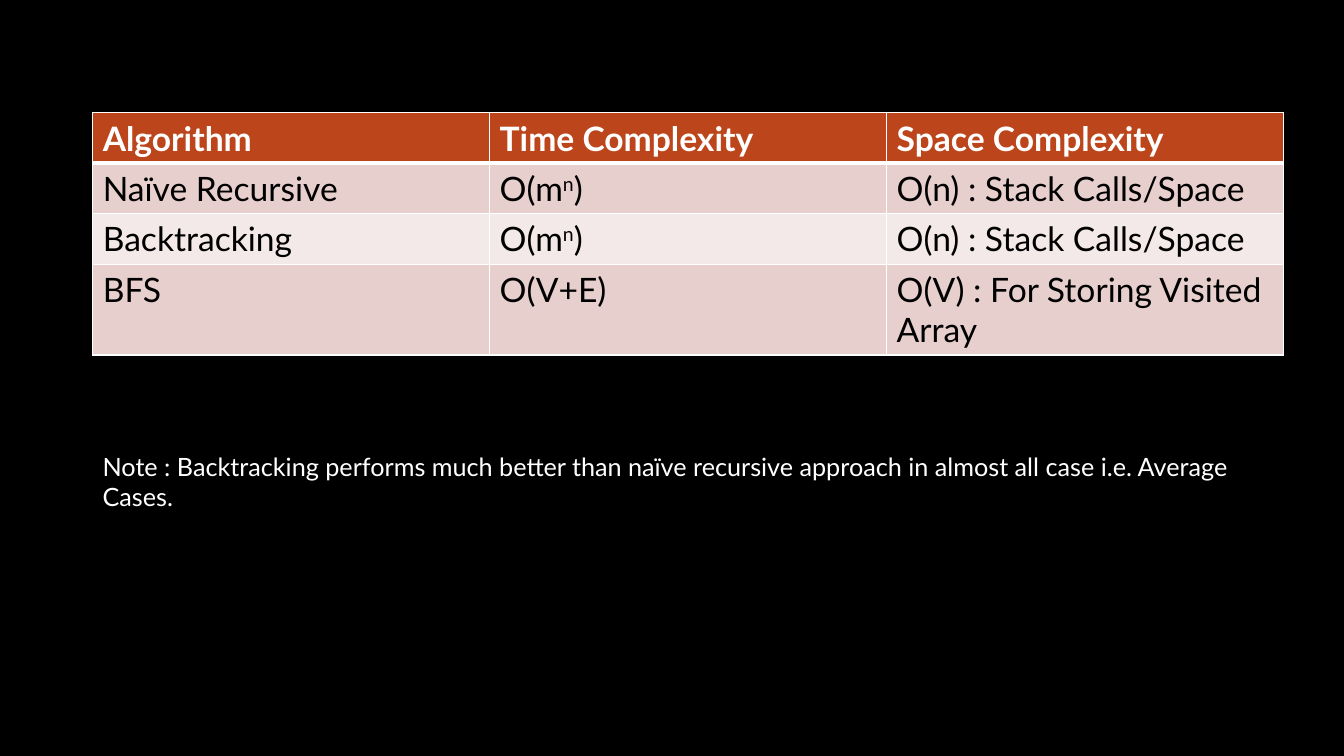
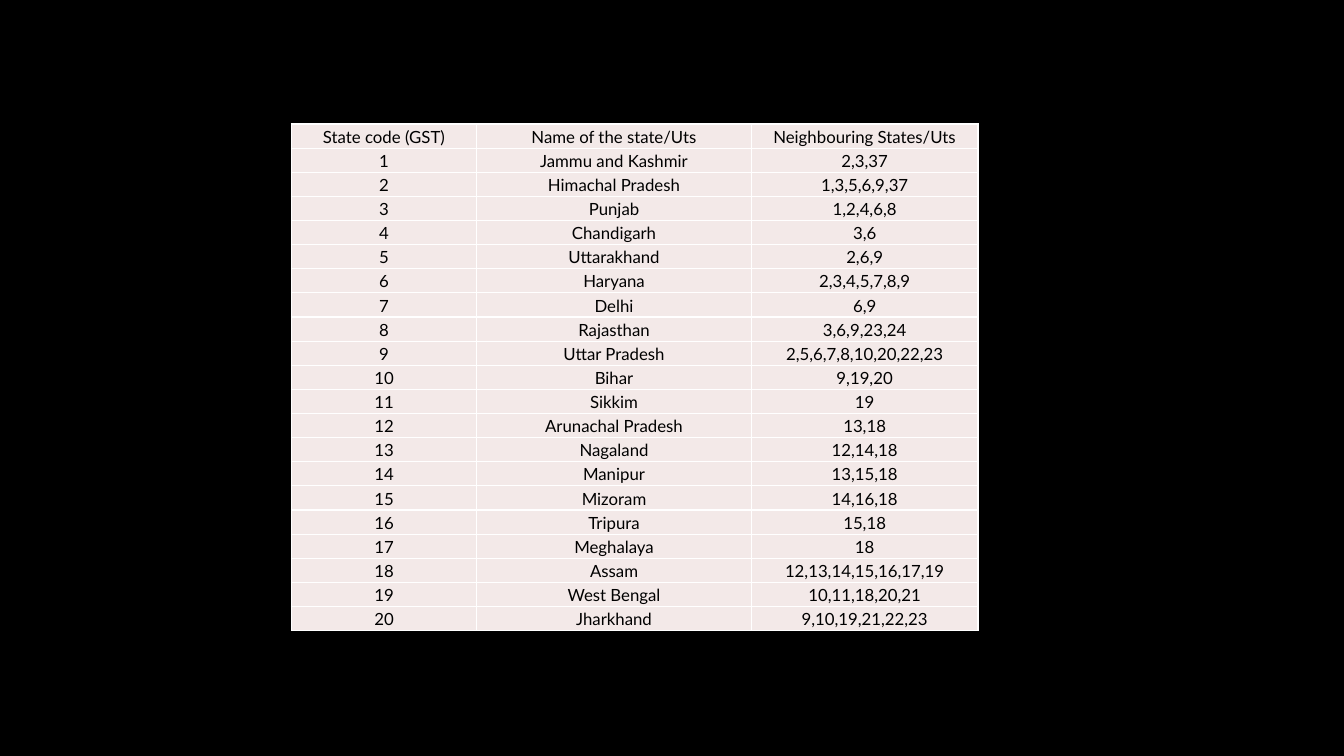
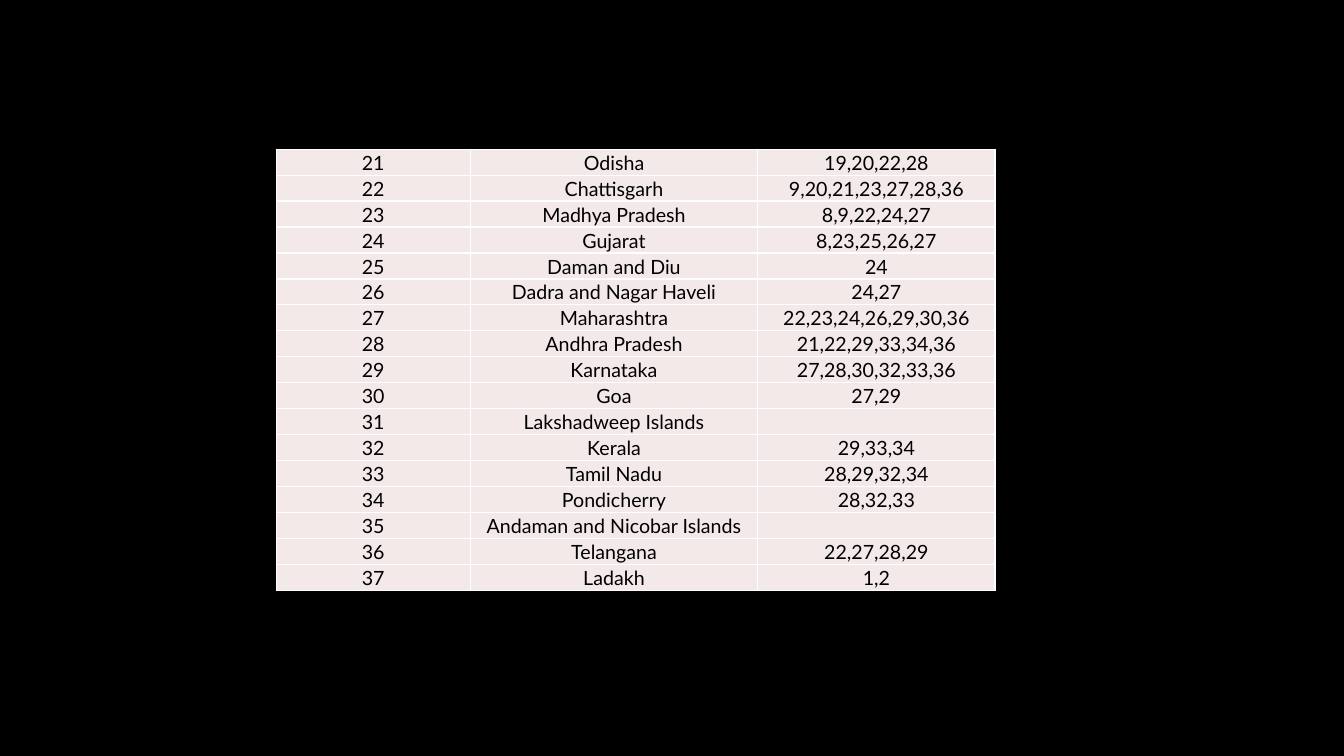
from dataclasses import dataclass

from lxml.etree import SubElement
from pptx import Presentation
from pptx.dml.color import RGBColor as RGB
from pptx.enum.text import MSO_ANCHOR as ANCHOR, PP_ALIGN as ALIGN
from pptx.oxml.ns import qn
from pptx.util import Inches, Pt

W, H = Inches(13.33), Inches(7.5)


@dataclass(frozen=True)
class Theme:
    font: str = "Lato"
    back: str = "000000"
    ink: str = "000000"
    light: str = "FFFFFF"
    header: str = "BC451B"
    band: str = "E7CFCD"
    pale: str = "F3E9E8"
    comparison: int = 24
    note: int = 18
    states: int = 12
    more_states: int = 14
    thin: int = 1
    heavy: int = 3
    inset: float = 0.01


T = Theme()

COMPLEXITY = [
    ("Algorithm", "Time Complexity", "Space Complexity"),
    ("Naïve Recursive", ("O(m", "n", ")"), "O(n) : Stack Calls/Space"),
    ("Backtracking", ("O(m", "n", ")"), "O(n) : Stack Calls/Space"),
    ("BFS", "O(V+E)", "O(V) : For Storing Visited Array"),
]
NOTE = ("Note : Backtracking performs much better than naïve recursive approach "
        "in almost all case i.e. Average Cases.")
STATE_HEADER = ("State code (GST)", "Name of the state/Uts", "Neighbouring States/Uts")
STATES = [
    ("Jammu and Kashmir", "2,3,37"),
    ("Himachal Pradesh", "1,3,5,6,9,37"),
    ("Punjab", "1,2,4,6,8"),
    ("Chandigarh", "3,6"),
    ("Uttarakhand", "2,6,9"),
    ("Haryana", "2,3,4,5,7,8,9"),
    ("Delhi", "6,9"),
    ("Rajasthan", "3,6,9,23,24"),
    ("Uttar Pradesh", "2,5,6,7,8,10,20,22,23"),
    ("Bihar", "9,19,20"),
    ("Sikkim", "19"),
    ("Arunachal Pradesh", "13,18"),
    ("Nagaland", "12,14,18"),
    ("Manipur", "13,15,18"),
    ("Mizoram", "14,16,18"),
    ("Tripura", "15,18"),
    ("Meghalaya", "18"),
    ("Assam", "12,13,14,15,16,17,19"),
    ("West Bengal", "10,11,18,20,21"),
    ("Jharkhand", "9,10,19,21,22,23"),
    ("Odisha", "19,20,22,28"),
    ("Chattisgarh", "9,20,21,23,27,28,36"),
    ("Madhya Pradesh", "8,9,22,24,27"),
    ("Gujarat", "8,23,25,26,27"),
    ("Daman and Diu", "24"),
    ("Dadra and Nagar Haveli", "24,27"),
    ("Maharashtra", "22,23,24,26,29,30,36"),
    ("Andhra Pradesh", "21,22,29,33,34,36"),
    ("Karnataka", "27,28,30,32,33,36"),
    ("Goa", "27,29"),
    ("Lakshadweep Islands", ""),
    ("Kerala", "29,33,34"),
    ("Tamil Nadu", "28,29,32,34"),
    ("Pondicherry", "28,32,33"),
    ("Andaman and Nicobar Islands", ""),
    ("Telangana", "22,27,28,29"),
    ("Ladakh", "1,2"),
]


def percent_box(left, top, width, height):
    return [int(v * side / 100) for v, side in
            ((left, W), (top, H), (width, W), (height, H))]


def new_slide(prs):
    s = prs.slides.add_slide(prs.slide_layouts[6])
    fill = s.background.fill
    fill.solid()
    fill.fore_color.rgb = RGB.from_string(T.back)
    return s


def style(p, size, color, bold=False):
    f = p.font
    f.name, f.size, f.bold = T.font, Pt(size), bold
    f.color.rgb = RGB.from_string(color)


def write(p, text):
    parts = text if isinstance(text, tuple) else (text,)
    for i, part in enumerate(parts):
        r = p.add_run()
        r.text = part
        if i % 2:
            r._r.get_or_add_rPr().set("baseline", "30000")


def set_borders(cell, top, bottom):
    tc_pr = cell._tc.get_or_add_tcPr()
    for side, width in (("L", T.thin), ("R", T.thin), ("T", top), ("B", bottom)):
        ln = SubElement(tc_pr, qn(f"a:ln{side}"), w=str(Pt(width)))
        solid = SubElement(ln, qn("a:solidFill"))
        SubElement(solid, qn("a:srgbClr"), val=T.light)


def set_cell(cell, text, size, fill, color, bold=False, top=T.thin, bottom=T.thin):
    set_borders(cell, top, bottom)
    cell.fill.solid()
    cell.fill.fore_color.rgb = RGB.from_string(fill)
    p = cell.text_frame.paragraphs[0]
    style(p, size, color, bold)
    if text:
        write(p, text)
    else:
        p._p.get_or_add_endParaRPr().set("sz", str(size * 100))


def add_grid(s, box, col_shares, row_shares):
    tbl = s.shapes.add_table(len(row_shares), len(col_shares), *box).table
    for col, share in zip(tbl.columns, col_shares):
        col.width = int(box[2] * share / sum(col_shares))
    for row, share in zip(tbl.rows, row_shares):
        row.height = int(box[3] * share / sum(row_shares))
    tbl.horz_banding = False
    return tbl


def comparison_table(s, box, rows):
    tbl = add_grid(s, box, (1, 1, 1), (5, 5, 5, 9))
    for i, row in enumerate(rows):
        head = i == 0
        fill = T.header if head else T.band if i % 2 else T.pale
        for j, text in enumerate(row):
            set_cell(tbl.cell(i, j), text, T.comparison, fill,
                     T.light if head else T.ink, head,
                     top=T.heavy if i == 1 else T.thin,
                     bottom=T.heavy if head else T.thin)


def note_text(s, box, text):
    tf = s.shapes.add_textbox(*box).text_frame
    tf.word_wrap = True
    p = tf.paragraphs[0]
    style(p, T.note, T.light)
    write(p, text)


def state_table(s, box, rows, size):
    tbl = add_grid(s, box, (27, 40, 33), [1] * len(rows))
    tbl.first_row = False
    for i, row in enumerate(rows):
        for j, text in enumerate(row):
            cell = tbl.cell(i, j)
            cell.margin_left = cell.margin_right = cell.margin_top = Inches(T.inset)
            cell.margin_bottom = 0
            cell.vertical_anchor = ANCHOR.MIDDLE
            cell.text_frame.paragraphs[0].alignment = ALIGN.CENTER
            set_cell(cell, text, size, T.pale, T.ink)


def main():
    prs = Presentation()
    prs.slide_width, prs.slide_height = W, H

    s = new_slide(prs)
    comparison_table(s, percent_box(6.9, 14.93, 88.6, 32), COMPLEXITY)
    note_text(s, percent_box(6.9, 59.07, 88.97, 9.33), NOTE)

    numbered = [(str(code), *state) for code, state in enumerate(STATES, 1)]
    state_table(new_slide(prs), percent_box(21.68, 16.4, 51.09, 67.07),
                [STATE_HEADER, *numbered[:20]], T.states)
    state_table(new_slide(prs), percent_box(20.55, 19.73, 53.49, 58.4),
                numbered[20:], T.more_states)

    prs.save("out.pptx")


if __name__ == "__main__":
    main()
